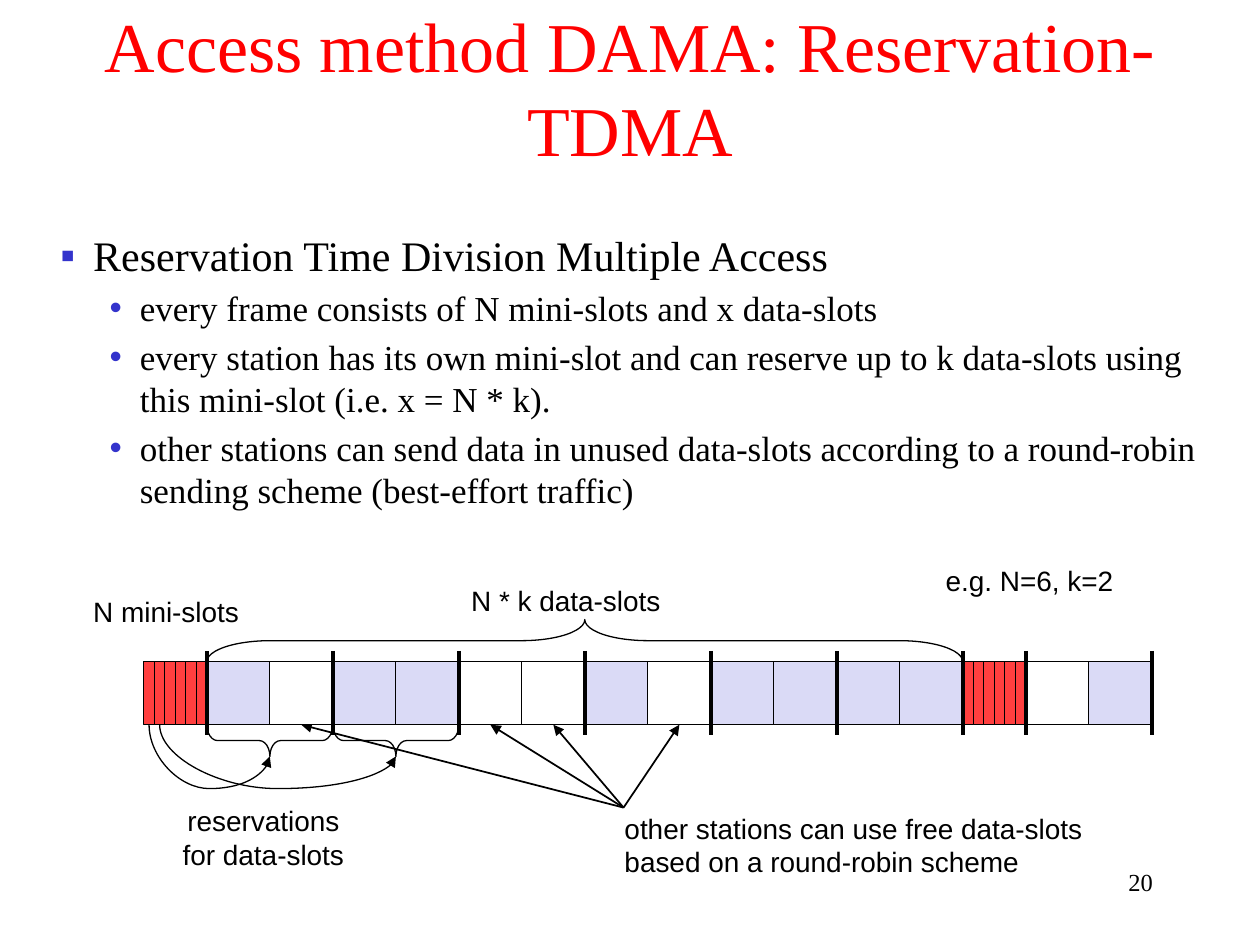
from dataclasses import dataclass

import pptx
import pptx.dml.color
import pptx.enum.shapes
import pptx.enum.text
import pptx.oxml
import pptx.oxml.ns
import pptx.util
from pptx.util import Cm, Pt

ALIGN = pptx.enum.text.PP_ALIGN
ANCHOR = pptx.enum.text.MSO_ANCHOR
SHAPE = pptx.enum.shapes.MSO_SHAPE
CONNECTOR = pptx.enum.shapes.MSO_CONNECTOR
qn = pptx.oxml.ns.qn


@dataclass(frozen=True)
class Theme:
    serif: str = "Times New Roman"
    sans: str = "Arial"
    ink: str = "000000"
    title: str = "FF0000"
    bullet: str = "3333CC"
    reserved: str = "DADAF6"
    free: str = "FFFFFF"
    mini: str = "FF3F3F"
    title_size: int = 40
    topic_size: int = 24
    point_size: int = 20
    label_size: int = 16
    number_size: int = 14
    thin: float = 0.75
    arrow: float = 1
    thick: float = 2.25


THEME = Theme()

# Frame geometry in centimetres
SLOT = 1.27
MINI_COUNT = 6
MINI = SLOT / MINI_COUNT
FRAME_LEFT = 2.9
DATA_LEFT = FRAME_LEFT + SLOT
ROW_TOP = 13.34
ROW_BOTTOM = ROW_TOP + SLOT
BRACE_DEPTH = 0.64

# One letter per slot: m = group of mini-slots, r = reserved, f = free
FRAME = "mrfrrffrfrrrrmfr"
TICKS = (1, 3, 5, 7, 9, 11, 13, 14, 16)
FREE_TARGETS = (2, 5, 6, 8)

POINTS = (
    "every frame consists of N mini-slots and x data-slots",
    "every station has its own mini-slot and can reserve up to k data-slots "
    "using this mini-slot (i.e. x = N * k).",
    "other stations can send data in unused data-slots according to a "
    "round-robin sending scheme (best-effort traffic)",
)


def color(code):
    return pptx.dml.color.RGBColor.from_string(code)


def place(shape, left, top, width, height):
    shape.left, shape.top = Cm(left), Cm(top)
    shape.width, shape.height = Cm(width), Cm(height)


def format_text(paragraph, font, size, code=THEME.ink, align=ALIGN.LEFT):
    paragraph.alignment = align
    for span in paragraph.runs:
        span.font.name = font
        span.font.size = Pt(size)
        span.font.color.rgb = color(code)


def add_element(parent, tag, **attributes):
    element = parent.makeelement(qn(tag), attributes)
    parent.append(element)
    return element


def add_title(page, text):
    title = page.shapes.title
    place(title, 0, 0.56, 25.4, 3)
    frame = title.text_frame
    frame.text = text
    frame.word_wrap = True
    frame.auto_size = pptx.enum.text.MSO_AUTO_SIZE.NONE
    frame.vertical_anchor = ANCHOR.BOTTOM
    format_text(frame.paragraphs[0], THEME.serif, THEME.title_size,
                THEME.title, ALIGN.CENTER)


def add_bullet(paragraph, symbol, margin, hanging, size):
    paragraph.space_before = Pt(size * 0.2)
    format_text(paragraph, THEME.serif, size)
    properties = paragraph._p.get_or_add_pPr()
    properties.set("marL", str(Cm(margin)))
    properties.set("indent", str(-Cm(hanging)))
    tint = add_element(properties, "a:buClr")
    add_element(tint, "a:srgbClr", val=THEME.bullet)
    add_element(properties, "a:buFont", typeface=THEME.sans)
    add_element(properties, "a:buChar", char=symbol)


def add_points(page, topic, points):
    box = page.shapes.add_textbox(Cm(0.97), Cm(4.5), Cm(23.6), Cm(6.43))
    frame = box.text_frame
    frame.word_wrap = True
    frame.text = "\n".join((topic, *points))
    first, *others = frame.paragraphs
    add_bullet(first, "▪", 0.66, 0.66, THEME.topic_size)
    for para in others:
        para.level = 1
        add_bullet(para, "•", 1.6, 0.61, THEME.point_size)


def add_label(page, text, left, top, width, height, align=ALIGN.LEFT,
              anchor=ANCHOR.TOP):
    box = page.shapes.add_textbox(Cm(left), Cm(top), Cm(width), Cm(height))
    frame = box.text_frame
    frame.text = text
    frame.word_wrap = False
    frame.auto_size = pptx.enum.text.MSO_AUTO_SIZE.SHAPE_TO_FIT_TEXT
    frame.vertical_anchor = anchor
    for para in frame.paragraphs:
        format_text(para, THEME.sans, THEME.label_size, align=align)


def add_number(page, text):
    box = page.shapes.add_textbox(Cm(18.21), Cm(17.35), Cm(5.28), Cm(1.27))
    box.text_frame.word_wrap = True
    box.text_frame.text = text
    format_text(box.text_frame.paragraphs[0], THEME.serif, THEME.number_size,
                align=ALIGN.RIGHT)


def add_outlined(page, kind, left, top, width, height):
    shape = page.shapes.add_shape(kind, Cm(left), Cm(top), Cm(width), Cm(height))
    shape.shadow.inherit = False
    shape.line.color.rgb = color(THEME.ink)
    shape.line.width = Pt(THEME.thin)
    return shape


def add_slot(page, left, width, code):
    slot = add_outlined(page, SHAPE.RECTANGLE, left, ROW_TOP, width, SLOT)
    slot.fill.solid()
    slot.fill.fore_color.rgb = color(code)


def add_brace(page, left, top, span, depth, rotation, curl):
    # The upright brace is turned around its centre
    brace = add_outlined(page, SHAPE.RIGHT_BRACE, left + (span - depth) / 2,
                         top + (depth - span) / 2, depth, span)
    brace.rotation = rotation
    brace.adjustments[0] = curl
    brace.fill.background()


def add_line(page, start, end, width, arrow=None, kind=CONNECTOR.STRAIGHT):
    line = page.shapes.add_connector(kind, *map(Cm, (*start, *end)))
    line.line.color.rgb = color(THEME.ink)
    line.line.width = Pt(width)
    properties = line._element.spPr
    if arrow:
        add_element(properties.find(qn("a:ln")), arrow, type="triangle")
    add_element(properties, "a:effectLst")
    return line


def add_reservation(page, start, end):
    # Curve hanging below the row, from a mini-slot to the tip of a brace
    middle_x, middle_y = (start + end) / 2, ROW_BOTTOM + BRACE_DEPTH / 2
    half_width, half_height = BRACE_DEPTH / 2, (end - start) / 2
    curve = add_line(page, (middle_x + half_width, middle_y - half_height),
                     (middle_x - half_width, middle_y + half_height),
                     THEME.thin, "a:tailEnd", CONNECTOR.CURVE)
    properties = curve._element.spPr
    properties.find(qn("a:xfrm")).set("rot", str(270 * 60000))
    guides = properties.find(qn("a:prstGeom")).find(qn("a:avLst"))
    add_element(guides, "a:gd", name="adj1", fmla="val 201400")


def add_frame(page):
    fills = {"r": THEME.reserved, "f": THEME.free}
    for index, kind in enumerate(FRAME):
        left = FRAME_LEFT + index * SLOT
        if kind == "m":
            for mini in range(MINI_COUNT):
                add_slot(page, left + mini * MINI, MINI, THEME.mini)
        else:
            add_slot(page, left, SLOT, fills[kind])
    for tick in TICKS:
        x = FRAME_LEFT + tick * SLOT
        add_line(page, (x, 13.12), (x, 14.82), THEME.thick)


def main():
    deck = pptx.Presentation()
    deck.slide_width, deck.slide_height = Cm(25.4), Cm(19.05)
    page = deck.slides.add_slide(deck.slide_layouts[5])

    # Wording
    add_title(page, "Access method DAMA: Reservation-TDMA")
    add_points(page, "Reservation Time Division Multiple Access", POINTS)
    add_number(page, "20")
    add_label(page, "N mini-slots", 1.63, 11.86, 3.45, 0.91)
    add_label(page, "N * k data-slots", 9.25, 11.63, 4.34, 0.91)
    add_label(page, "reservations\vfor data-slots", 3.43, 16.08, 3.76, 1.6,
              ALIGN.CENTER)
    add_label(page, "other stations can use free data-slots\n"
              "based on a round-robin scheme", 12.34, 16.23, 9.78, 1.6)
    add_label(page, "e.g. N=6, k=2", 18.8, 11.23, 3.91, 0.94, ALIGN.CENTER,
              ANCHOR.MIDDLE)

    # Arrows to the free slots
    for index in FREE_TARGETS:
        target = FRAME_LEFT + (index + 0.5) * SLOT
        add_line(page, (target, ROW_BOTTOM), (12.57, 16.28), THEME.arrow,
                 "a:headEnd")

    # Slots, braces and reservations
    add_frame(page)
    for station in range(2):
        left = DATA_LEFT + station * 2 * SLOT
        add_brace(page, left, ROW_BOTTOM, 2 * SLOT, BRACE_DEPTH, 90, 0.333)
        add_reservation(page, FRAME_LEFT + (station + 0.5) * MINI, left + SLOT)
    add_brace(page, DATA_LEFT, 12.49, 12 * SLOT, 0.85, 270, 1.5)

    deck.save("out.pptx")


if __name__ == "__main__":
    main()
